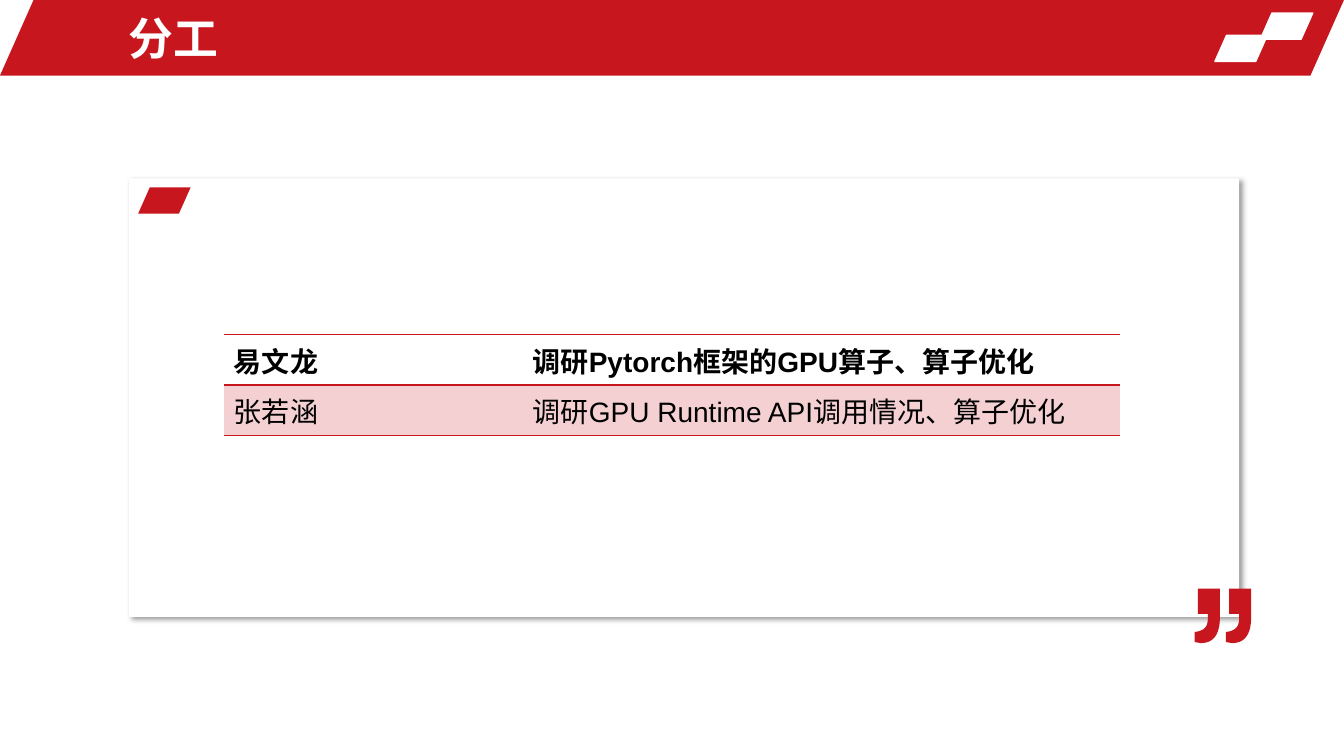
from pptx import Presentation
from pptx.dml.color import RGBColor
from pptx.enum import shapes, text
from pptx.oxml import parse_xml
from pptx.oxml.ns import qn
from pptx.util import Inches, Pt

RED, WHITE, BLACK, PINK = "C8161E", "FFFFFF", "000000", "F4D0D2"
NS = 'xmlns:a="http://schemas.openxmlformats.org/drawingml/2006/main"'
NO_STYLE = "{2D5ABB26-0587-4C30-8999-92F81FD0307C}"
SLANT = shapes.MSO_SHAPE.PARALLELOGRAM
ROWS = [("易文龙", "调研Pytorch框架的GPU算子、算子优化"),
        ("张若涵", "调研GPU Runtime API调用情况、算子优化")]


def rgb(value):
    return RGBColor.from_string(value)


def paint(sp, fill, line=None):
    sp.shadow.inherit = False
    sp.fill.solid()
    sp.fill.fore_color.rgb = rgb(fill)
    if line:
        sp.line.color.rgb = rgb(line)
        sp.line.width = Pt(1)
    else:
        sp.line.fill.background()


def add_block(slide, kind, x, y, w, h, fill, adj, line=None):
    sp = slide.shapes.add_shape(kind, Inches(x), Inches(y), Inches(w), Inches(h))
    sp.adjustments[0] = adj
    paint(sp, fill, line)
    return sp


def style_text(p, size, color, bold):
    p.font.name = "Arial"
    p.font.size = Pt(size)
    p.font.bold = bold
    p.font.color.rgb = rgb(color)


def add_header(slide, x, y, w, h, title):
    add_block(slide, SLANT, x, y, w, h, RED, 0.444)
    # Pair of slanted tiles at the right end
    for dx, dy in ((0.83, 0.13), (1.28, 0.35)):
        add_block(slide, SLANT, x + w - dx, y + dy, 0.52, 0.26, WHITE, 0.444, WHITE)
    # Title
    tf = slide.shapes.add_textbox(Inches(x + 1.18), Inches(y + 0.05),
                                  Inches(7.74), Inches(h - 0.1)).text_frame
    tf.word_wrap = True
    tf.vertical_anchor = text.MSO_ANCHOR.MIDDLE
    p = tf.paragraphs[0]
    p.text = title
    style_text(p, 32, WHITE, True)


def curve(p0, p1, p2, p3, steps=12):
    """Points along a cubic Bezier curve, without its start."""
    for t in (i / steps for i in range(1, steps + 1)):
        s = 1 - t
        yield tuple(s**3 * a + 3 * s * s * t * b + 3 * s * t * t * c + t**3 * d
                    for a, b, c, d in zip(p0, p1, p2, p3))


def add_quote_mark(slide, x, y):
    comma = [(0.03, 0), (0.25, 0), (0.25, 0.28),
             *curve((0.25, 0.28), (0.25, 0.45), (0.19, 0.54), (0.06, 0.54)),
             (0, 0.53), (0, 0.43),
             *curve((0, 0.43), (0.09, 0.42), (0.13, 0.38), (0.13, 0.3)),
             (0.13, 0.25), (0.03, 0.25)]
    builder = None
    for dx in (0, 0.31):
        pts = [(Inches(x + dx + px), Inches(y + py)) for px, py in comma]
        if builder is None:
            builder = slide.shapes.build_freeform(*pts[0])
        else:
            builder.move_to(*pts[0])
        builder.add_line_segments(pts[1:], close=True)
    paint(builder.convert_to_shape(), RED)


def add_card(slide, x, y, w, h):
    card = add_block(slide, shapes.MSO_SHAPE.ROUNDED_RECTANGLE, x, y, w, h, WHITE, 0)
    # Soft shadow towards the lower right
    effects = card._element.spPr.find(qn("a:effectLst"))
    effects.append(parse_xml(
        f'<a:outerShdw {NS} blurRad="{Pt(4)}" dist="{Pt(3)}" dir="2700000" '
        f'algn="tl" rotWithShape="0"><a:srgbClr val="{BLACK}">'
        '<a:alpha val="40000"/></a:srgbClr></a:outerShdw>'))
    # Corner ornaments
    add_block(slide, SLANT, x + 0.09, y + 0.09, 0.52, 0.26, RED, 0.444)
    add_quote_mark(slide, x + w - 0.44, y + h - 0.28)


def set_border(cell, side, width):
    cell._tc.get_or_add_tcPr().insert(0, parse_xml(
        f'<a:{side} {NS} w="{Pt(width)}"><a:solidFill><a:srgbClr val="{RED}"/>'
        f'</a:solidFill></a:{side}>'))


def add_duties(slide, x, y, w, h):
    table = slide.shapes.add_table(len(ROWS), 2, Inches(x), Inches(y),
                                   Inches(w), Inches(h)).table
    table.first_row = table.horz_banding = False
    table._tbl.tblPr.find(qn("a:tableStyleId")).text = NO_STYLE
    for col, share in zip(table.columns, (1 / 3, 2 / 3)):
        col.width = Inches(w * share)
    for i, row in enumerate(ROWS):
        table.rows[i].height = Inches(h / len(ROWS))
        for j, words in enumerate(row):
            cell = table.cell(i, j)
            p = cell.text_frame.paragraphs[0]
            p.text = words
            style_text(p, 20, BLACK, i == 0)
            if i:
                cell.fill.solid()
                cell.fill.fore_color.rgb = rgb(PINK)
            else:
                cell.fill.background()
            set_border(cell, "lnB", 1 if i else 1.5)
            set_border(cell, "lnT", 1.5 if i else 1)


def main():
    prs = Presentation()
    prs.slide_width, prs.slide_height = Inches(13.33), Inches(7.5)
    slide = prs.slides.add_slide(prs.slide_layouts[6])
    add_header(slide, 0, 0, 13.33, 0.75, "分工")
    add_card(slide, 1.28, 1.77, 11.01, 4.35)
    add_duties(slide, 2.22, 3.32, 8.89, 1)
    prs.save("out.pptx")


if __name__ == "__main__":
    main()
